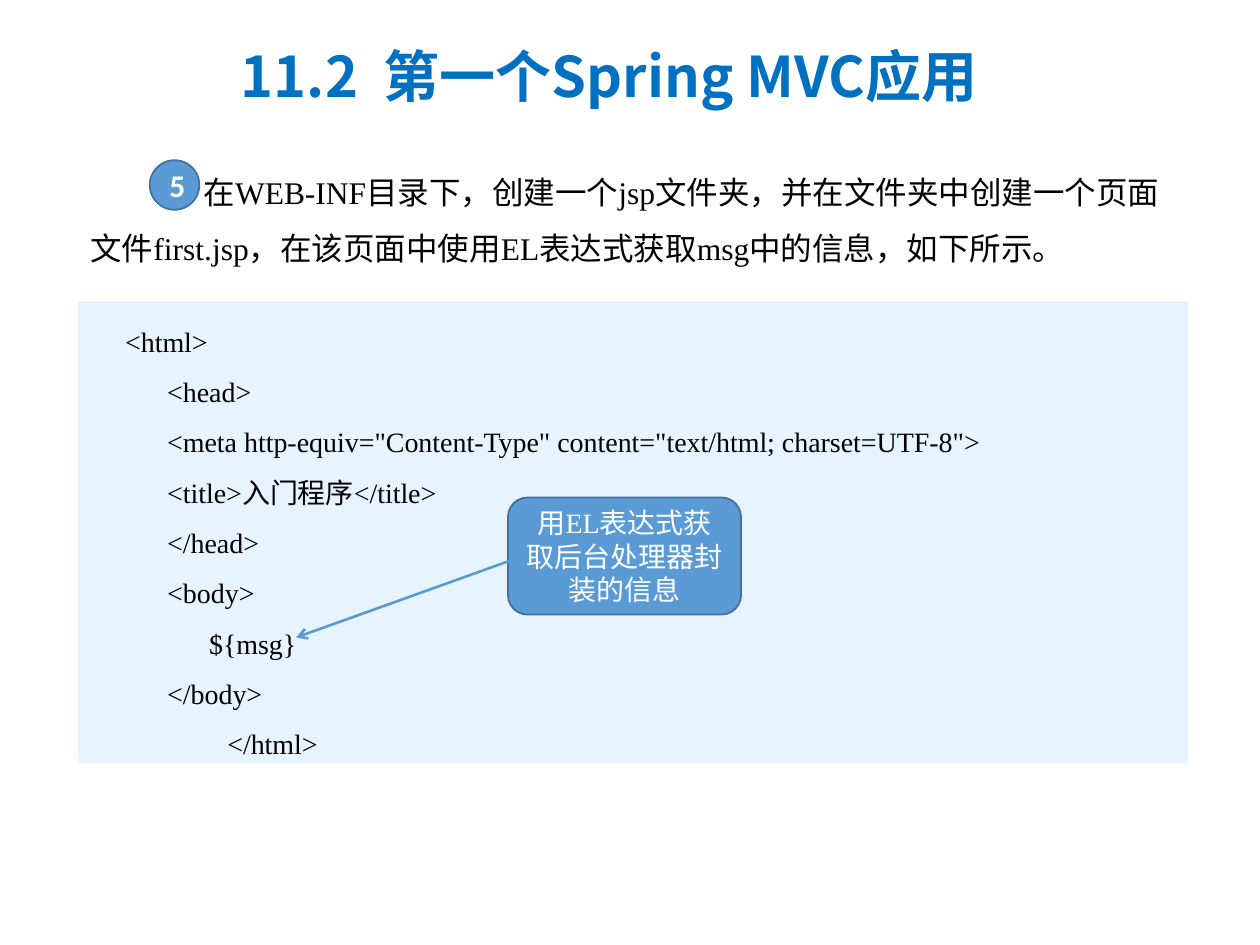
from lxml import etree
from pptx import Presentation
from pptx import util as u
from pptx.dml.color import RGBColor
from pptx.enum import shapes, text
from pptx.oxml import ns

COLORS = {
    "title": "0070C0",
    "ink": "000000",
    "white": "FFFFFF",
    "code": "E7F4FF",
    "accent": "5B9BD5",
    "border": "41719C",
}
CJK = "Noto Sans CJK SC"
SERIF = "Times New Roman"
CODE_INDENT = 1.27
CODE = [
    (0, "     <html>"),
    (CODE_INDENT, "  <head>"),
    (CODE_INDENT, '  <meta http-equiv="Content-Type" content="text/html; charset=UTF-8">'),
    (CODE_INDENT, "  <title>入门程序</title>"),
    (CODE_INDENT, "  </head>"),
    (CODE_INDENT, "  <body>"),
    (CODE_INDENT, "        ${msg}"),
    (CODE_INDENT, "  </body>"),
    (2.06, "     </html>"),
]


def color(name):
    return RGBColor.from_string(COLORS[name])


def place(shape, box):
    shape.left, shape.top, shape.width, shape.height = (u.Cm(value) for value in box)


def format_paragraph(paragraph, size, ink, font=SERIF, bold=False,
                     align=text.PP_ALIGN.LEFT, spacing=1.0):
    paragraph.alignment = align
    paragraph.line_spacing = spacing
    paragraph.space_before = u.Pt(0)
    for run in paragraph.runs:
        run.font.size = u.Pt(size)
        run.font.bold = bold
        run.font.name = font
        run.font.color.rgb = color(ink)
        east_asian = etree.SubElement(run.font._element, ns.qn("a:ea"))
        east_asian.set("typeface", CJK)


def set_indent(paragraph, margin, first_line):
    properties = paragraph._p.get_or_add_pPr()
    properties.set("marL", str(u.Cm(margin)))
    properties.set("indent", str(u.Cm(first_line)))


def prepare_frame(shape, anchor=text.MSO_ANCHOR.TOP):
    frame = shape.text_frame
    frame.word_wrap = True
    frame.auto_size = text.MSO_AUTO_SIZE.NONE
    frame.vertical_anchor = anchor
    return frame


def add_filled_shape(slide, kind, box, fill, border=None):
    shape = slide.shapes.add_shape(kind, *(u.Cm(value) for value in box))
    shape.shadow.inherit = False
    shape.fill.solid()
    shape.fill.fore_color.rgb = color(fill)
    if border:
        shape.line.color.rgb = color(border)
        shape.line.width = u.Pt(1)
    else:
        shape.line.fill.background()
    return shape


def add_label(slide, kind, box, label, **style):
    shape = add_filled_shape(slide, kind, box, "accent", "border")
    frame = prepare_frame(shape, text.MSO_ANCHOR.MIDDLE)
    frame.text = label
    format_paragraph(frame.paragraphs[0], ink="white",
                     align=text.PP_ALIGN.CENTER, **style)
    return shape


def add_title(slide, box):
    title = slide.shapes.title
    place(title, box)
    frame = prepare_frame(title)
    frame.text = "11.2  第一个Spring MVC应用"
    format_paragraph(frame.paragraphs[0], 32, "title", CJK, True, spacing=0.9)


def add_step(slide, box):
    left, top = box[:2]
    body = slide.placeholders[1]
    place(body, box)
    frame = prepare_frame(body)
    frame.text = ("在WEB-INF目录下，创建一个jsp文件夹，并在文件夹中创建一个页面文件first.jsp，"
                  "在该页面中使用EL表达式获取msg中的信息，如下所示。")
    paragraph = frame.paragraphs[0]
    set_indent(paragraph, 0, 2.28)
    format_paragraph(paragraph, 18, "ink", spacing=1.5)
    etree.SubElement(paragraph._p.get_or_add_pPr(), ns.qn("a:buNone"))
    add_label(slide, shapes.MSO_SHAPE.FLOWCHART_CONNECTOR,
              (left + 1.45, top + 0.26, 1, 1), "5",
              size=18, font="Calibri", bold=True)


def add_code(slide, box):
    panel = add_filled_shape(slide, shapes.MSO_SHAPE.RECTANGLE, box, "code")
    frame = prepare_frame(panel)
    frame.text = "\n".join(line for _, line in CODE)
    for paragraph, (margin, _) in zip(frame.paragraphs, CODE):
        set_indent(paragraph, margin, 0)
        format_paragraph(paragraph, 16, "ink", spacing=1.5)


def add_callout(slide, box, target):
    left, top, _, height = box
    add_label(slide, shapes.MSO_SHAPE.ROUNDED_RECTANGLE, box,
              "用EL表达式获取后台处理器封装的信息", size=16)
    start = (left + 0.3, top + height / 2)
    arrow = slide.shapes.add_connector(
        shapes.MSO_CONNECTOR.STRAIGHT, *(u.Cm(value) for value in start + target))
    arrow.line.color.rgb = color("accent")
    arrow.line.width = u.Pt(1.5)
    etree.SubElement(arrow.line._get_or_add_ln(), ns.qn("a:tailEnd"), type="arrow")
    etree.SubElement(arrow._element.spPr, ns.qn("a:effectLst"))


def main():
    presentation = Presentation()
    presentation.slide_width = u.Cm(25.4)
    presentation.slide_height = u.Cm(19.05)
    slide = presentation.slides.add_slide(presentation.slide_layouts[1])
    left, top, width = 1.57, 6.07, 22.38
    add_title(slide, (4.6, 0.86, 18.26, 2.16))
    add_step(slide, (left, 2.97, width, 2.54))
    add_code(slide, (left, top, width, 9.32))
    add_callout(slide, (left + 8.67, top + 3.96, 4.7, 2.36),
                (left + 4.4, top + 6.78))
    presentation.save("out.pptx")


if __name__ == "__main__":
    main()
